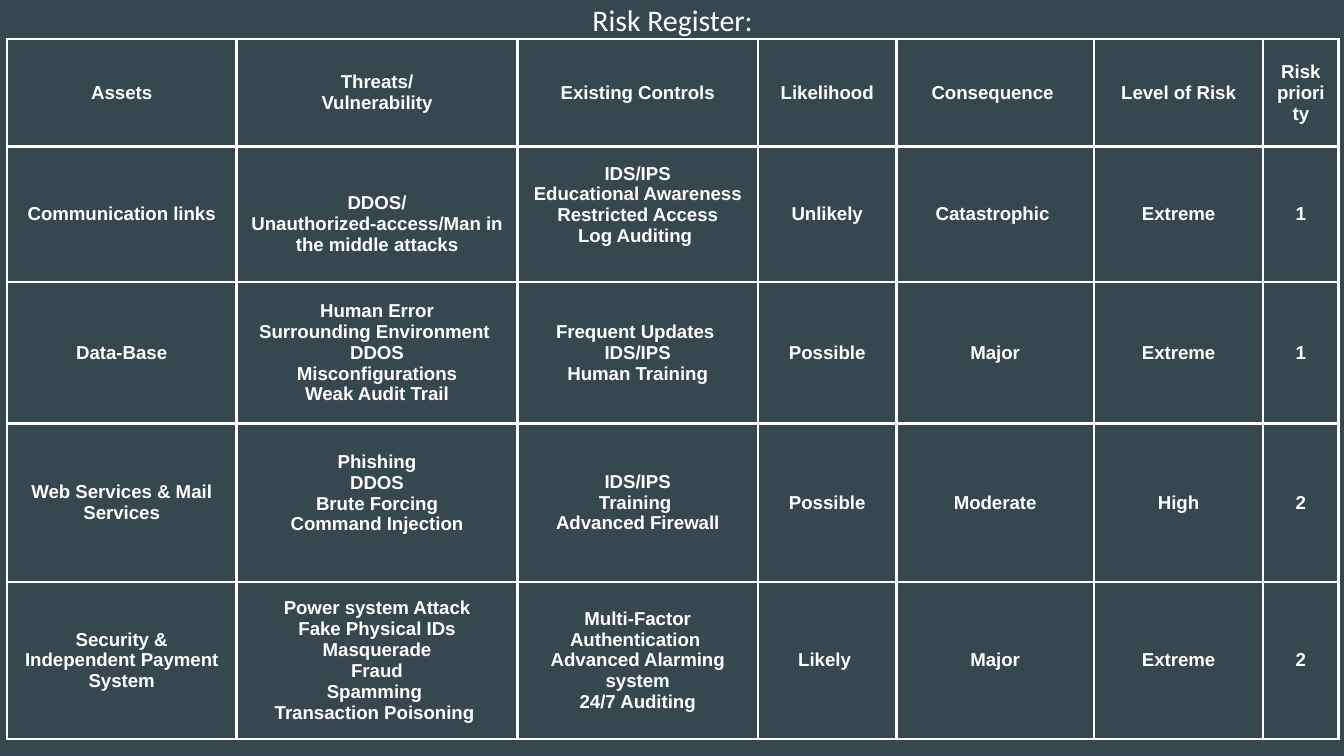
from lxml.etree import SubElement
from pptx import Presentation
from pptx.dml.color import RGBColor as RGB
from pptx.enum.text import MSO_ANCHOR as Anchor, PP_ALIGN as Align
from pptx.oxml.ns import qn
from pptx.util import Inches, Pt

COLORS = {"back": "37474F", "ink": "FFFFFF"}
COLS = [1.71, 2.09, 1.79, 1.03, 1.47, 1.26, 0.56]
ROWS = [0.8, 1.01, 1.05, 1.18, 1.17]
PAD = 0.1
LINE = 0.14  # room that moves a cell's text by half a line
TIGHT = -0.02  # keeps the tallest cell inside its row

# "\n" starts a paragraph, "\v" breaks a line inside one
RISKS = [
    ["Assets", "Threats/\nVulnerability", "Existing Controls", "Likelihood",
     "Consequence ", "Level of Risk", "Risk priority"],
    ["Communication links",
     "DDOS/\nUnauthorized-access/Man in the middle attacks",
     "IDS/IPS\nEducational Awareness\nRestricted Access\nLog Auditing ",
     "Unlikely", "Catastrophic ", "Extreme", "1"],
    ["Data-Base",
     "Human Error\nSurrounding Environment \nDDOS\nMisconfigurations\n"
     "Weak Audit Trail",
     "Frequent Updates \nIDS/IPS\nHuman Training",
     "Possible", "Major", "Extreme", "1"],
    ["Web Services & Mail Services",
     "Phishing\nDDOS\nBrute Forcing\nCommand Injection",
     "IDS/IPS\vTraining \nAdvanced Firewall",
     "Possible", "Moderate", "High", "2"],
    ["Security & Independent Payment System",
     "Power system Attack\nFake Physical IDs\nMasquerade\nFraud\nSpamming \n"
     "Transaction Poisoning ",
     "Multi-Factor Authentication \nAdvanced Alarming system\n24/7 Auditing",
     "Likely ", "Major", "Extreme", "2"],
]
# Cells with other margins: (extra top, extra bottom)
SHIFTS = {(1, 1): (LINE, 0), (1, 2): (0, LINE), (3, 1): (0, LINE),
          (4, 1): (TIGHT, TIGHT)}


def write(frame, text, font, size, bold=False):
    for i, para in enumerate(text.split("\n")):
        p = frame.paragraphs[0] if i == 0 else frame.add_paragraph()
        p.alignment = Align.CENTER
        for j, part in enumerate(para.split("\v")):
            if j:
                p.add_line_break()
            run = p.add_run()
            run.text = part
            run.font.name, run.font.size, run.font.bold = font, Pt(size), bold
            run.font.color.rgb = RGB.from_string(COLORS["ink"])


def pad(item, top=0, bottom=0):
    """Set the inner margins, with extra room above or below."""
    item.margin_left = item.margin_right = Inches(PAD)
    item.margin_top = Inches(PAD + top)
    item.margin_bottom = Inches(PAD + bottom)


def outline(cell):
    props = cell._tc.get_or_add_tcPr()
    for i, side in enumerate(("lnL", "lnR", "lnT", "lnB")):
        line = props.makeelement(qn(f"a:{side}"), {"w": str(Pt(1.5))})
        props.insert(i, line)
        fill = SubElement(line, qn("a:solidFill"))
        SubElement(fill, qn("a:srgbClr"), val=COLORS["ink"])


def add_title(slide, left, top, width, height):
    box = slide.shapes.add_textbox(*map(Inches, (left, top, width, height)))
    frame = box.text_frame
    frame.word_wrap = True
    pad(frame)
    write(frame, "Risk Register:", "Calibri", 16)


def add_register(slide, left, top):
    size = map(Inches, (left, top, sum(COLS), sum(ROWS)))
    table = slide.shapes.add_table(len(ROWS), len(COLS), *size).table
    table.first_row = table.horz_banding = False
    for col, width in zip(table.columns, COLS):
        col.width = Inches(width)
    for row, height in zip(table.rows, ROWS):
        row.height = Inches(height)
    for r, texts in enumerate(RISKS):
        for c, text in enumerate(texts):
            cell = table.cell(r, c)
            cell.fill.background()
            cell.vertical_anchor = Anchor.MIDDLE
            pad(cell, *SHIFTS.get((r, c), (0, 0)))
            outline(cell)
            write(cell.text_frame, text, "Arial", 10, True)


def main():
    deck = Presentation()
    deck.slide_width = Inches(10)
    deck.slide_height = deck.slide_width * 9 // 16
    slide = deck.slides.add_slide(deck.slide_layouts[6])
    back = slide.background.fill
    back.solid()
    back.fore_color.rgb = RGB.from_string(COLORS["back"])
    add_title(slide, 2.58, -0.09, 4.85, 0.54)
    add_register(slide, 0.05, 0.29)
    deck.save("out.pptx")


if __name__ == "__main__":
    main()
